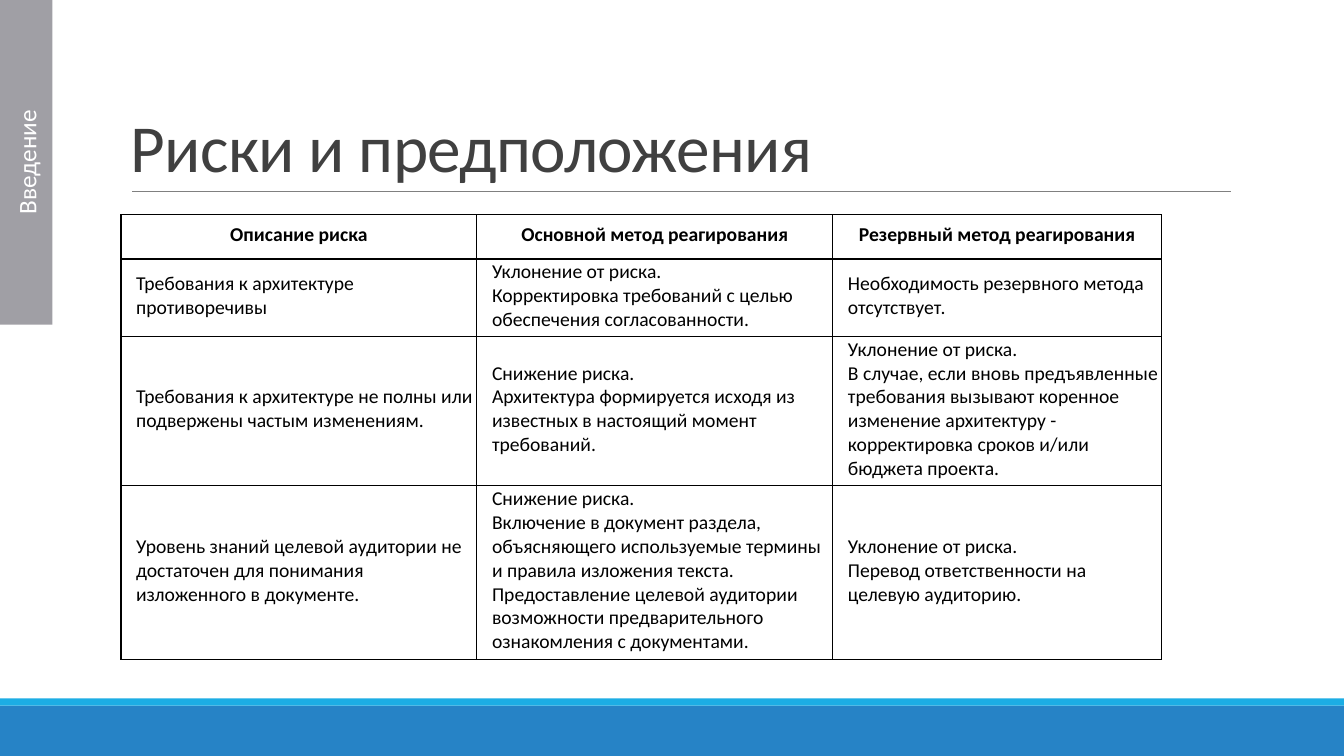
from lxml.etree import SubElement
from pptx import Presentation
from pptx.dml.color import RGBColor
from pptx.enum.shapes import MSO_CONNECTOR as Connector, MSO_SHAPE as Shape
from pptx.enum.text import MSO_ANCHOR as Anchor, PP_ALIGN as Align
from pptx.oxml.ns import qn
from pptx.util import Inches, Pt

WIDTH, HEIGHT = 13.33, 7.5
COLORS = {
    "band": "2683C6",
    "stripe": "1CADE4",
    "rule": "808080",
    "title": "404040",
    "tab": "A09FA5",
    "white": "FFFFFF",
    "black": "000000",
}
FORMATS = {
    "title": {"size": Pt(48), "bold": False, "color": "title"},
    "tab": {"size": Pt(18), "bold": False, "color": "white"},
    "header": {"size": Pt(14), "bold": True, "color": "black"},
    "body": {"size": Pt(14), "bold": False, "color": "black"},
}
TABLE_LEFT, TABLE_TOP = 1.2, 2.13
COLUMN_WIDTHS = [3.53, 3.53, 3.26]
ROW_HEIGHTS = [0.44, 0.77, 1.48, 1.72]
RISKS = [
    [
        ["Описание риска"],
        ["Основной метод реагирования"],
        ["Резервный метод реагирования"],
    ],
    [
        ["Требования к архитектуре противоречивы"],
        ["Уклонение от риска.",
         "Корректировка требований с целью обеспечения согласованности."],
        ["Необходимость резервного метода отсутствует."],
    ],
    [
        ["Требования к архитектуре не полны или подвержены частым изменениям."],
        ["Снижение риска.",
         "Архитектура формируется исходя из известных в настоящий момент требований."],
        ["Уклонение от риска.",
         "В случае, если вновь предъявленные требования вызывают коренное "
         "изменение архитектуру - корректировка сроков и/или бюджета проекта."],
    ],
    [
        ["Уровень знаний целевой аудитории не достаточен для понимания "
         "изложенного в документе."],
        ["Снижение риска.",
         "Включение в документ раздела, объясняющего используемые термины "
         "и правила изложения текста.",
         "Предоставление целевой аудитории возможности предварительного",
         "ознакомления с документами."],
        ["Уклонение от риска.",
         "Перевод ответственности на целевую аудиторию."],
    ],
]


def color(name):
    return RGBColor.from_string(COLORS[name])


def box(left, top, width, height):
    return [Inches(value) for value in (left, top, width, height)]


def write(frame, lines, style, align=Align.LEFT):
    frame.word_wrap = True
    for index, line in enumerate(lines):
        paragraph = frame.add_paragraph() if index else frame.paragraphs[0]
        paragraph.alignment = align
        run = paragraph.add_run()
        run.text = line
        run.font.name = "Calibri"
        for name, value in FORMATS[style].items():
            if name == "color":
                run.font.color.rgb = color(value)
            else:
                setattr(run.font, name, value)


def add_bar(slide, fill, *place):
    shape = slide.shapes.add_shape(Shape.RECTANGLE, *box(*place))
    shape.shadow.inherit = False
    shape.fill.solid()
    shape.fill.fore_color.rgb = color(fill)
    shape.line.fill.background()
    return shape


def add_rule(slide, left, right, top):
    rule = slide.shapes.add_connector(
        Connector.STRAIGHT, Inches(left), Inches(top), Inches(right), Inches(top))
    rule.line.color.rgb = color("rule")
    rule.line.width = Pt(0.5)
    SubElement(rule._element.spPr, qn("a:effectLst"))


def add_title(slide, text):
    frame = slide.shapes.add_textbox(*box(TABLE_LEFT, 0.31, 11, 1.59)).text_frame
    frame.vertical_anchor = Anchor.BOTTOM
    write(frame, [text], "title")
    paragraph = frame.paragraphs[0]
    paragraph.line_spacing = 0.85
    paragraph.runs[0].font._element.set("spc", "-50")


def add_side_tab(slide, text):
    length, depth = 3.22, 0.52
    tab = add_bar(slide, "tab", (depth - length) / 2, (length - depth) / 2, length, depth)
    tab.rotation = 270
    tab.text_frame.vertical_anchor = Anchor.MIDDLE
    write(tab.text_frame, [text], "tab", Align.CENTER)


def add_borders(cell):
    properties = cell._tc.get_or_add_tcPr()
    for side in "LRTB":
        line = SubElement(properties, qn(f"a:ln{side}"), w=str(Pt(1)))
        fill = SubElement(line, qn("a:solidFill"))
        SubElement(fill, qn("a:srgbClr"), val=COLORS["black"])


def fill_cell(cell, lines, is_header):
    layout = {
        "vertical_anchor": Anchor.MIDDLE,
        "margin_left": Inches(0.01 if is_header else 0.15),
        "margin_right": Inches(0.01),
        "margin_top": Inches(0.01),
        "margin_bottom": Inches(0.05),
    }
    for name, value in layout.items():
        setattr(cell, name, value)
    add_borders(cell)
    cell.fill.background()
    if is_header:
        write(cell.text_frame, lines, "header", Align.CENTER)
    else:
        write(cell.text_frame, lines, "body")


def add_risk_table(slide):
    place = box(TABLE_LEFT, TABLE_TOP, sum(COLUMN_WIDTHS), sum(ROW_HEIGHTS))
    table = slide.shapes.add_table(len(ROW_HEIGHTS), len(COLUMN_WIDTHS), *place).table
    table.first_row = table.horz_banding = False
    for column, width in zip(table.columns, COLUMN_WIDTHS):
        column.width = Inches(width)
    for index, (row, height) in enumerate(zip(table.rows, ROW_HEIGHTS)):
        row.height = Inches(height)
        for cell, lines in zip(row.cells, RISKS[index]):
            fill_cell(cell, lines, index == 0)


def main():
    presentation = Presentation()
    presentation.slide_width = Inches(WIDTH)
    presentation.slide_height = Inches(HEIGHT)
    slide = presentation.slides.add_slide(presentation.slide_layouts[6])
    add_bar(slide, "band", 0, HEIGHT - 0.5, WIDTH, 0.5)
    add_bar(slide, "stripe", 0, HEIGHT - 0.57, WIDTH, 0.07)
    add_rule(slide, 1.31, 12.21, 1.9)
    add_title(slide, "Риски и предположения")
    add_side_tab(slide, "Введение")
    add_risk_table(slide)
    presentation.save("out.pptx")


if __name__ == "__main__":
    main()
